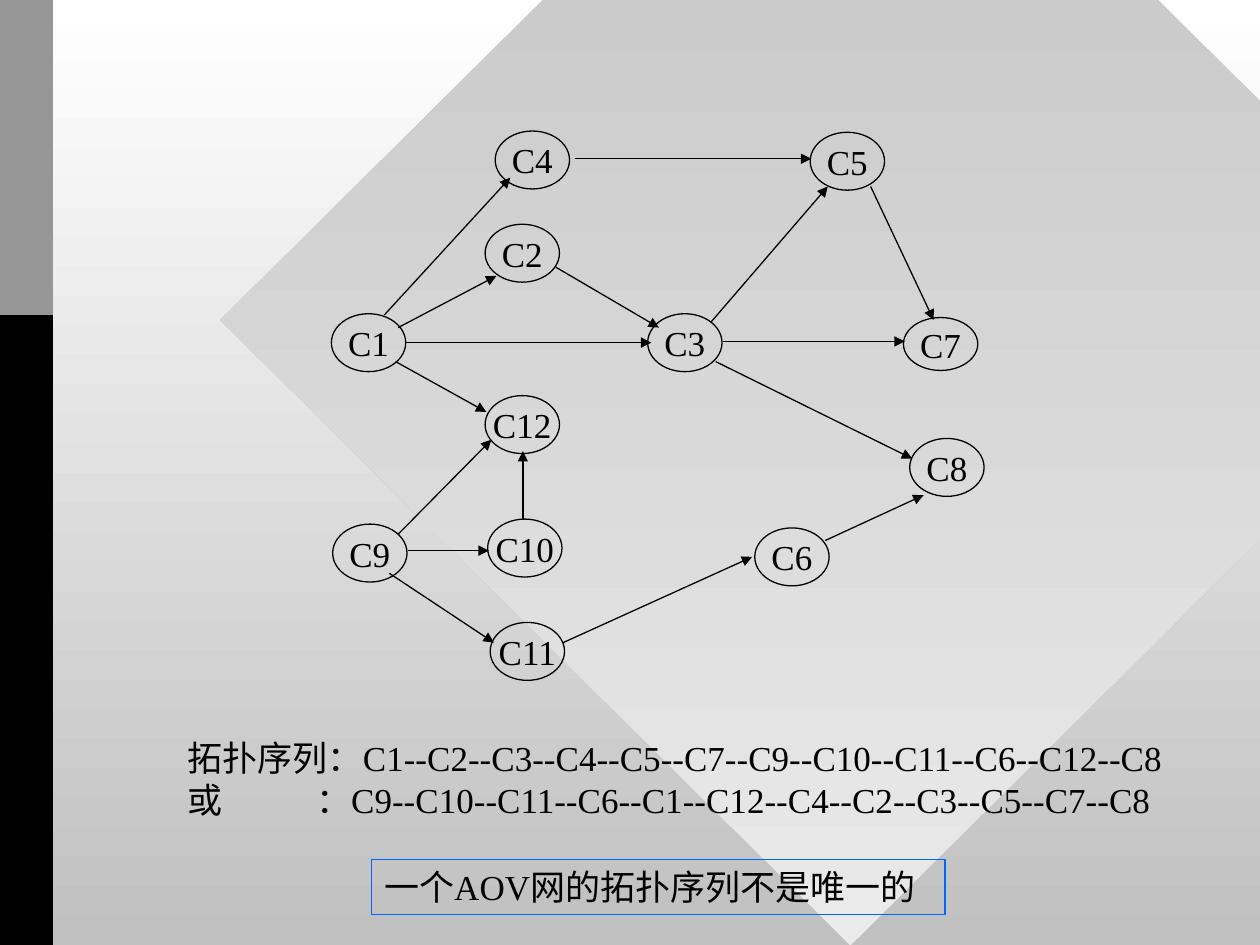
from dataclasses import dataclass

from lxml import etree
from pptx import Presentation
from pptx.dml.color import RGBColor
from pptx.enum.shapes import MSO_CONNECTOR, MSO_SHAPE
from pptx.enum.text import MSO_ANCHOR, PP_ALIGN
from pptx.oxml.ns import qn
from pptx.util import Inches, Pt

STRAIGHT = MSO_CONNECTOR.STRAIGHT
DIAMOND, RECTANGLE, OVAL = MSO_SHAPE.DIAMOND, MSO_SHAPE.RECTANGLE, MSO_SHAPE.OVAL
LEFT, CENTER = PP_ALIGN.LEFT, PP_ALIGN.CENTER
TOP, MIDDLE = MSO_ANCHOR.TOP, MSO_ANCHOR.MIDDLE


@dataclass(frozen=True)
class Theme:
    ink: RGBColor = RGBColor(0, 0, 0)
    white: RGBColor = RGBColor(255, 255, 255)
    silver: RGBColor = RGBColor(0xC0, 0xC0, 0xC0)
    pale: RGBColor = RGBColor(0xEA, 0xEA, 0xEA)
    gray: RGBColor = RGBColor(0x96, 0x96, 0x96)
    blue: RGBColor = RGBColor(0, 0x66, 0xFF)
    font: str = "Times New Roman"
    size: Pt = Pt(20)
    stroke: Pt = Pt(0.75)


theme = Theme()


def write_text(shape, text, align=LEFT, anchor=TOP, tab=None):
    frame = shape.text_frame
    frame.word_wrap = False
    frame.vertical_anchor = anchor
    frame.text = text
    for paragraph in frame.paragraphs:
        paragraph.alignment = align
        if tab:
            stops = etree.SubElement(paragraph._p.get_or_add_pPr(), qn("a:tabLst"))
            etree.SubElement(stops, qn("a:tab"), pos=str(tab), algn="l")
        for run in paragraph.runs:
            run.font.name = theme.font
            run.font.size = theme.size
            run.font.color.rgb = theme.ink


def fill_gradient(fill, first, last):
    fill.gradient()
    fill.gradient_angle = 270
    for stop, color, position in zip(fill.gradient_stops, (first, last), (0, 1)):
        stop.color.rgb = color
        stop.position = position


deck = Presentation()
deck.slide_width, deck.slide_height = Inches(10), Inches(7.5)
slide = deck.slides.add_slide(deck.slide_layouts[6])
shapes = slide.shapes
fill_gradient(slide.background.fill, theme.white, theme.silver)

backdrop = shapes.add_shape(DIAMOND, Inches(1.75), Inches(-2.42), Inches(10), Inches(9.92))
backdrop.shadow.inherit = False
backdrop.line.fill.background()
fill_gradient(backdrop.fill, theme.silver, theme.pale)

for height, color in ((7.5, theme.ink), (2.5, theme.gray)):
    band = shapes.add_shape(RECTANGLE, 0, 0, Inches(0.42), Inches(height))
    band.shadow.inherit = False
    band.fill.solid()
    band.fill.fore_color.rgb = color
    band.line.fill.background()

courses = {
    "C1": (2.63, 2.49), "C2": (3.85, 1.78), "C3": (5.14, 2.49),
    "C4": (3.93, 1.04), "C5": (6.43, 1.05), "C6": (5.99, 4.19),
    "C7": (7.17, 2.52), "C8": (7.22, 3.48), "C9": (2.64, 4.16),
    "C10": (3.87, 4.12), "C11": (3.89, 4.94), "C12": (3.85, 3.14),
}
for course, (left, top) in courses.items():
    height = 0.42 if course == "C7" else 0.46
    node = shapes.add_shape(OVAL, Inches(left), Inches(top), Inches(0.59), Inches(height))
    node.shadow.inherit = False
    node.fill.background()
    node.line.color.rgb = theme.ink
    node.line.width = theme.stroke
    write_text(node, course, align=CENTER, anchor=MIDDLE)

prerequisites = [
    (3.22, 2.72, 5.17, 2.72), (3.16, 2.6, 3.94, 2.19),
    (4.41, 2.12, 5.23, 2.6), (3.05, 2.5, 4.05, 1.41),
    (4.56, 1.26, 6.44, 1.26), (5.64, 2.56, 6.57, 1.48),
    (5.74, 2.71, 7.18, 2.71), (6.91, 1.48, 7.41, 2.54),
    (3.14, 2.87, 3.86, 3.27), (3.16, 4.24, 3.9, 3.49),
    (3.24, 4.37, 3.88, 4.37), (4.15, 4.13, 4.15, 3.58),
    (3.09, 4.55, 3.92, 5.1), (4.47, 5.1, 5.97, 4.42),
    (6.55, 4.29, 7.33, 3.93), (5.68, 2.87, 7.24, 3.64),
]
for ends in prerequisites:
    arrow = shapes.add_connector(STRAIGHT, *(Inches(value) for value in ends))
    arrow.line.color.rgb = theme.ink
    arrow.line.width = theme.stroke
    etree.SubElement(arrow.line._get_or_add_ln(), qn("a:tailEnd"), type="triangle")
    etree.SubElement(arrow._element.spPr, qn("a:effectLst"))

orders = shapes.add_textbox(Inches(1.39), Inches(5.8), Inches(8.01), Inches(0.77))
write_text(
    orders,
    "拓扑序列：C1--C2--C3--C4--C5--C7--C9--C10--C11--C6--C12--C8\n"
    "或\t：C9--C10--C11--C6--C1--C12--C4--C2--C3--C5--C7--C8",
    tab=Inches(1.02),
)

conclusion = shapes.add_shape(RECTANGLE, Inches(2.95), Inches(6.82), Inches(4.55), Inches(0.44))
conclusion.shadow.inherit = False
conclusion.fill.background()
conclusion.line.color.rgb = theme.blue
conclusion.line.width = theme.stroke
write_text(conclusion, "一个AOV网的拓扑序列不是唯一的")

deck.save("out.pptx")
